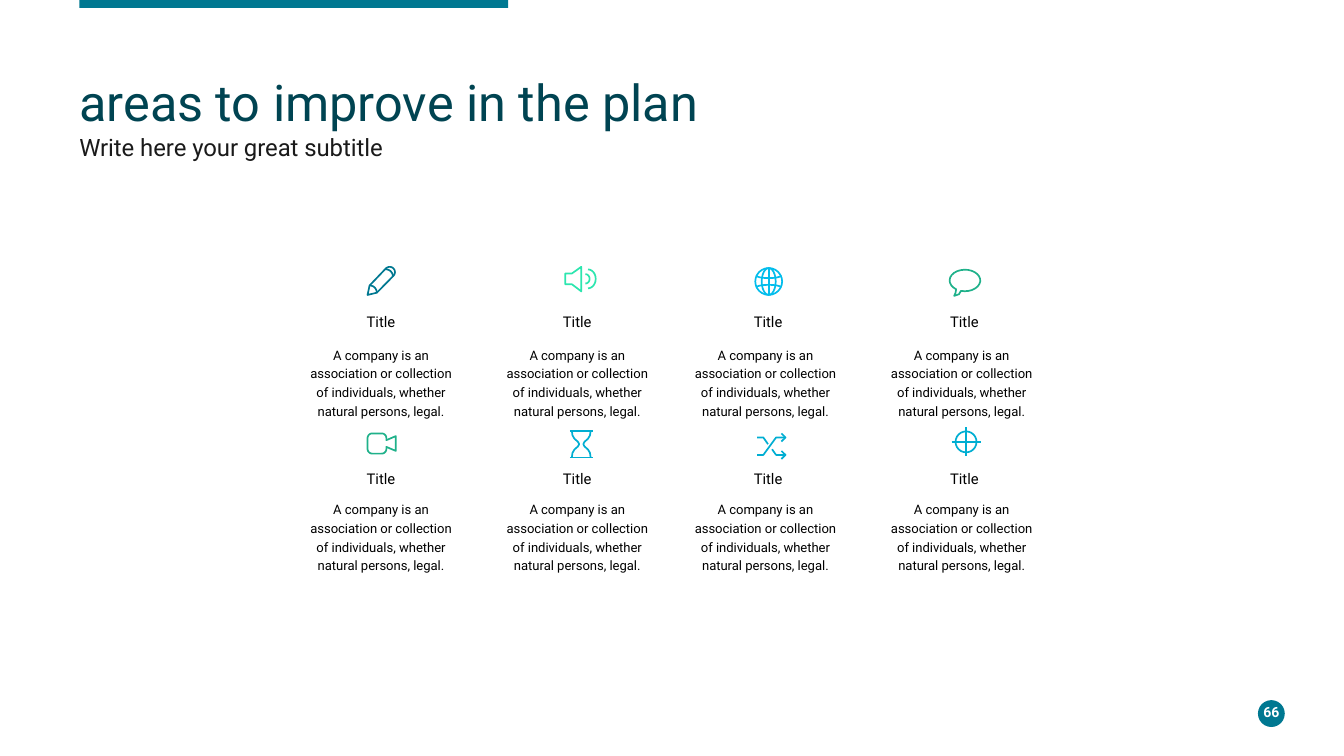
from dataclasses import dataclass
from math import cos, radians, sin

from pptx import Presentation
from pptx.dml.color import RGBColor
from pptx.enum.shapes import MSO_SHAPE as Preset
from pptx.enum.text import MSO_ANCHOR as Anchor, MSO_AUTO_SIZE as AutoSize, PP_ALIGN as Align
from pptx.util import Inches, Pt

FONT = "Roboto"
TEAL = RGBColor(0x00, 0x78, 0x91)
DEEP_TEAL = RGBColor(0x00, 0x44, 0x52)
MINT = RGBColor(0x2C, 0xE6, 0xAF)
SKY = RGBColor(0x03, 0xBD, 0xEC)
GREEN = RGBColor(0x1F, 0xB1, 0x8A)
CYAN = RGBColor(0x00, 0xAE, 0xD2)
BLACK = RGBColor(0x00, 0x00, 0x00)
CHARCOAL = RGBColor(0x1A, 0x1A, 0x1A)
WHITE = RGBColor(0xFF, 0xFF, 0xFF)

ICON_GRID = 10000  # freeform units per inch; strokes are in hundredths of an inch
DESCRIPTION = ("A company is an association or collection of individuals, "
               "whether natural persons, legal.")
Point = tuple[float, float]


@dataclass
class Stroke:
    points: list[Point]
    closed: bool = False


@dataclass
class Icon:
    left: float
    top: float
    color: RGBColor
    strokes: list[Stroke]


def arc(cx: float, cy: float, rx: float, ry: float,
        start: float = 0, end: float = 360, steps: int = 24) -> list[Point]:
    """Points along an ellipse, clockwise from start to end in degrees."""
    angles = [radians(start + (end - start) * i / steps) for i in range(steps + 1)]
    return [(cx + rx * cos(a), cy + ry * sin(a)) for a in angles]


def shifted(points: list[Point], dy: float) -> list[Point]:
    return [(x, y + dy) for x, y in points]


def draw_icon(slide, icon: Icon) -> None:
    def grid(points: list[Point]) -> list[Point]:
        return [(x * 100, y * 100) for x, y in points]

    start = grid(icon.strokes[0].points)[0]
    builder = slide.shapes.build_freeform(*start, scale=Inches(1) / ICON_GRID)
    for index, stroke in enumerate(icon.strokes):
        first, *rest = grid(stroke.points)
        if index:
            builder.move_to(*first)
        builder.add_line_segments(rest, close=stroke.closed)
    outline = builder.convert_to_shape(Inches(icon.left), Inches(icon.top))
    outline.shadow.inherit = False
    outline.fill.background()
    outline.line.color.rgb = icon.color
    outline.line.width = Pt(0.9)


def place(shape, left: float, top: float, width: float, height: float) -> None:
    box = {"left": left, "top": top, "width": width, "height": height}
    for name, value in box.items():
        setattr(shape, name, Inches(value))


def write(shape, text: str, size: float, color: RGBColor, align=Align.LEFT,
          spacing: float = 1.0, anchor=Anchor.TOP, bold: bool = False,
          inset: bool = False) -> None:
    frame = shape.text_frame
    frame.text = text
    settings = {"word_wrap": True, "auto_size": AutoSize.NONE, "vertical_anchor": anchor}
    if not inset:
        settings |= dict.fromkeys(
            ("margin_left", "margin_top", "margin_right", "margin_bottom"), 0)
    for name, value in settings.items():
        setattr(frame, name, value)
    paragraph = frame.paragraphs[0]
    paragraph.alignment = align
    paragraph.line_spacing = spacing
    font = paragraph.runs[0].font
    for name, value in {"name": FONT, "size": Pt(size), "bold": bold}.items():
        setattr(font, name, value)
    font.color.rgb = color


def add_text(slide, left: float, top: float, width: float, height: float,
             text: str, size: float, color: RGBColor, **style) -> None:
    box = slide.shapes.add_textbox(*map(Inches, (left, top, width, height)))
    write(box, text, size, color, **style)


def add_solid(slide, preset, left: float, top: float, width: float, height: float) -> None:
    solid = slide.shapes.add_shape(preset, *map(Inches, (left, top, width, height)))
    solid.shadow.inherit = False
    solid.fill.solid()
    solid.fill.fore_color.rgb = TEAL
    solid.line.fill.background()


# Outlines that are used more than once
hourglass_side = [(1.5, 0.5), (2, 4), (3.5, 6.5), (6, 8.7), (7, 10.5),
                  (6, 12.3), (3.5, 14.5), (2, 17), (1.5, 20.5)]
arrowhead = [(18.5, 0.5), (21.5, 3.5), (18.5, 6.5)]

ICONS = [
    # Pencil
    Icon(2.73, 1.98, TEAL, [
        Stroke([(0.5, 21.5), (2, 14.5)] + arc(17, 4.5, 3.9, 3.9, -135, 45)
               + [(7.5, 19.8)], True),
        Stroke(arc(2, 19.8, 5.4, 5.4, -90, 0)),
        Stroke(arc(14, 7.8, 5.4, 5.4, -90, 0))]),
    # Loudspeaker
    Icon(4.2, 1.98, MINT, [
        Stroke([(0.5, 5.5), (5.5, 5.5), (12.5, 0.5), (12.5, 18.8),
                (5.5, 13.5), (0.5, 13.5)], True),
        Stroke(arc(15.5, 9.5, 3.2, 3.5, -90, 90)),
        Stroke(arc(17.5, 9.5, 5.7, 7, -90, 90))]),
    # Globe
    Icon(5.6, 1.99, SKY, [
        Stroke(arc(12, 10.5, 10, 10), True),
        Stroke(arc(12, 10.5, 5.2, 10), True),
        Stroke([(12, 0.5), (12, 20.5)]),
        Stroke(arc(12, 6, 9.2, 2, 0, 180)),
        Stroke(arc(12, 15, 9.2, 2, 180, 360))]),
    # Speech bubble
    Icon(7.06, 2, GREEN, [
        Stroke(arc(12, 8.7, 11.4, 8, 125, 465) + [(7.5, 19), (4, 20.2), (5, 18)], True)]),
    # Video camera
    Icon(2.73, 3.22, GREEN, [
        Stroke([(14.5, 5.5), (21.5, 2.5), (21.5, 13.5), (14.5, 10.5)]
               + arc(11, 12, 3.5, 3.5, 0, 90) + arc(4, 12, 3.5, 3.5, 90, 180)
               + arc(4, 4, 3.5, 3.5, 180, 270) + arc(11, 4, 3.5, 3.5, 270, 360), True)]),
    # Hourglass
    Icon(4.24, 3.2, CYAN, [
        Stroke([(0, 0.5), (17, 0.5)]),
        Stroke([(0, 20.5), (17, 20.5)]),
        Stroke(hourglass_side),
        Stroke([(17 - x, y) for x, y in hourglass_side])]),
    # Crossing arrows
    Icon(5.63, 3.22, CYAN, [
        Stroke([(0.3, 3.5), (5, 3.5), (8.5, 8.5)]),
        Stroke([(0.3, 16.5), (5, 16.5), (14.5, 3.5), (21.5, 3.5)]),
        Stroke([(11.5, 12.3), (14.5, 16.5), (21.5, 16.5)]),
        Stroke(arrowhead),
        Stroke(shifted(arrowhead, 13))]),
    # Crosshair
    Icon(7.08, 3.18, CYAN, [
        Stroke(arc(10.8, 10.8, 7.8, 7.8), True),
        Stroke([(0, 10.8), (21.6, 10.8)]),
        Stroke([(10.8, 0), (10.8, 21.6)])]),
]

# Slide in 16:9
presentation = Presentation()
presentation.slide_width = Inches(10)
presentation.slide_height = Inches(10 * 9 / 16)
slide = presentation.slides.add_slide(presentation.slide_layouts[5])

# Top bar and page number
add_solid(slide, Preset.RECTANGLE, 0.59, 0, 3.19, 0.06)
add_solid(slide, Preset.OVAL, 9.36, 5.21, 0.2, 0.2)
add_text(slide, 9.31, 5.22, 0.3, 0.16, "66", 7.5, WHITE,
         align=Align.CENTER, anchor=Anchor.MIDDLE, bold=True)

# Heading
heading = slide.shapes.title
place(heading, 0.59, 0.58, 8.72, 0.43)
write(heading, "areas to improve in the plan", 27, DEEP_TEAL, spacing=0.9)
add_text(slide, 0.59, 1.01, 3.22, 0.16, "Write here your great subtitle",
         12.75, CHARCOAL, spacing=0.9)

# Areas: two rows of four
for title_top, description_top in ((2.28, 2.51), (3.45, 3.66)):
    for title_left, description_left in ((2.18, 2.18), (3.64, 3.64), (5.06, 5.04), (6.52, 6.5)):
        add_text(slide, title_left, title_top, 1.31, 0.23, "Title", 7.9, BLACK,
                 align=Align.CENTER, inset=True)
        add_text(slide, description_left, description_top, 1.31, 0.43, DESCRIPTION,
                 7, BLACK, align=Align.CENTER, spacing=1.2, inset=True)

for icon in ICONS:
    draw_icon(slide, icon)

presentation.save("out.pptx")
